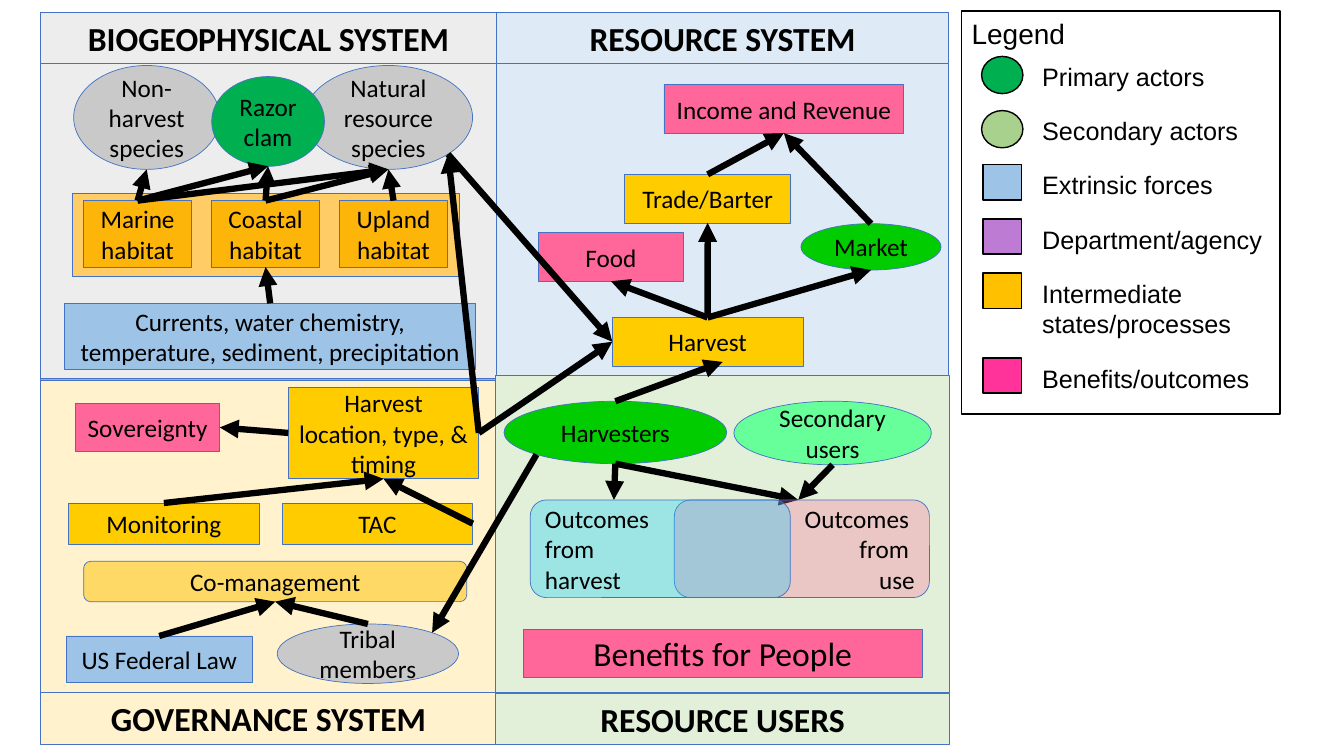
import pptx
import pptx.util
import pptx.dml.color
import pptx.enum.shapes
import pptx.enum.text
import pptx.oxml
import pptx.oxml.ns

Pt = pptx.util.Pt
KINDS = pptx.enum.shapes.MSO_SHAPE
ALIGN = pptx.enum.text.PP_ALIGN
ANCHOR = pptx.enum.text.MSO_ANCHOR
RECTANGLE, ELLIPSE, ROUNDED = KINDS.RECTANGLE, KINDS.OVAL, KINDS.ROUNDED_RECTANGLE

COLORS = {
    "black": "000000", "white": "FFFFFF", "outline": "4472C4", "backdrop": "536DB9",
    "gray panel": "EDEDED", "blue panel": "DEEBF7", "yellow panel": "FFF2CC",
    "green panel": "E2F0D9", "band": "FFCC66", "habitat": "FDB50A", "species": "C9C9C9",
    "primary": "00B050", "secondary": "A9D18E", "extrinsic": "9DC3E6", "agency": "BE7BD3",
    "intermediate": "FFC000", "outcome": "FF3399", "process": "FFCC00", "actor": "00CC00",
    "benefit": "FF6699", "shared": "FFD966", "users": "66FF99", "aqua": "00CCFF",
}
SIDES = {
    "top": (0.5, 0), "left": (0, 0.5), "bottom": (0.5, 1), "right": (1, 0.5),
    "lower left": (0.146, 0.854), "lower right": (0.854, 0.854), "upper right": (0.854, 0.146),
}
SITES = {"top": 0, "left": 1, "bottom": 2, "right": 3}


def color(name):
    return pptx.dml.color.RGBColor.from_string(COLORS[name])


def write(shape, text, size, font, align, bold=False):
    frame = shape.text_frame
    frame.word_wrap = True
    frame.text = text
    for paragraph in frame.paragraphs:
        paragraph.alignment = align
        for run in paragraph.runs:
            run.font.size = Pt(size)
            run.font.name = font
            run.font.bold = bold
            run.font.color.rgb = color("black")


def add_box(slide, origin, box, fill, text="", kind=RECTANGLE, size=18, bold=False,
            align=ALIGN.CENTER, font="Calibri", line="outline", weight=0.5, alpha=None):
    left, top, width, height = box
    shape = slide.shapes.add_shape(kind, Pt(origin[0] + left), Pt(origin[1] + top),
                                   Pt(width), Pt(height))
    shape.shadow.inherit = False
    shape.fill.solid()
    shape.fill.fore_color.rgb = color(fill)
    shape.line.color.rgb = color(line)
    shape.line.width = Pt(weight)
    if alpha:
        tint = shape.fill._xPr.find(".//" + pptx.oxml.ns.qn("a:srgbClr"))
        tint.append(pptx.oxml.parse_xml(
            f'<a:alpha {pptx.oxml.ns.nsdecls("a")} val="{alpha * 1000}"/>'))
    if text:
        shape.text_frame.vertical_anchor = ANCHOR.MIDDLE
        write(shape, text, size, font, align, bold)
    return shape


def locate(end):
    shape, side = end
    if side not in SIDES:
        return Pt(shape), Pt(side)
    across, down = SIDES[side]
    return int(shape.left + across * shape.width), int(shape.top + down * shape.height)


def is_joinable(end):
    return end[1] in SITES and end[0].auto_shape_type != ELLIPSE


def add_arrow(slide, start, end):
    connector = slide.shapes.add_connector(pptx.enum.shapes.MSO_CONNECTOR.STRAIGHT,
                                           *locate(start), *locate(end))
    if is_joinable(start):
        connector.begin_connect(start[0], SITES[start[1]])
    if is_joinable(end):
        connector.end_connect(end[0], SITES[end[1]])
    connector.line.color.rgb = color("black")
    connector.line.width = Pt(4.5)
    namespace = pptx.oxml.ns.nsdecls("a")
    connector.line._get_or_add_ln().append(
        pptx.oxml.parse_xml(f'<a:tailEnd {namespace} type="triangle"/>'))
    connector._element.spPr.append(pptx.oxml.parse_xml(f"<a:effectLst {namespace}/>"))


def add_panel(slide, box, fill, heading, panel_top, heading_top):
    left, top, width, height = box
    add_box(slide, (left, top), (0, panel_top, width, height - 37), fill)
    add_box(slide, (left, top), (0, heading_top, width, 37), fill, heading, size=24, bold=True)


def add_biogeophysical(slide, box):
    origin = box[:2]
    add_panel(slide, box, "gray panel", "BIOGEOPHYSICAL SYSTEM", 37, 0)
    add_box(slide, origin, (23, 129.6, 276.5, 59), "band")
    marine, coastal, upland = [
        add_box(slide, origin, (31 + 91.4 * column, 134.7, 77, 47.5), "habitat", f"{name} habitat")
        for column, name in enumerate(["Marine", "Coastal", "Upland"])]
    other = add_box(slide, origin, (23.8, 38.2, 104.4, 74.2), "species",
                    "Non-harvest species", ELLIPSE)
    natural = add_box(slide, origin, (188.6, 38.2, 120.2, 74.2), "species",
                      "Natural resource species", ELLIPSE)
    clam = add_box(slide, origin, (122.4, 46.1, 80.6, 64.1), "primary", "Razor clam", ELLIPSE)
    currents = add_box(slide, origin, (17.3, 208.1, 293.8, 47.5), "extrinsic",
                       "Currents, water chemistry, temperature, sediment, precipitation")
    for habitat, species in [(coastal, clam), (coastal, natural), (marine, clam),
                             (upland, natural), (marine, natural), (marine, other)]:
        add_arrow(slide, (habitat, "top"), (species, "bottom"))
    add_arrow(slide, (currents, "top"), (coastal, "bottom"))
    return natural


def add_resource(slide, box):
    origin = box[:2]
    add_panel(slide, box, "blue panel", "RESOURCE SYSTEM", 37, 0)
    harvest = add_box(slide, origin, (82.8, 218.2, 136.1, 34.6), "process", "Harvest")
    market = add_box(slide, origin, (217.5, 151.2, 100.1, 33.1), "actor", "Market", ELLIPSE)
    food = add_box(slide, origin, (30.3, 157.7, 103, 34.6), "benefit", "Food")
    income = add_box(slide, origin, (119.6, 51.9, 171.4, 34.6), "benefit", "Income and Revenue")
    trade = add_box(slide, origin, (91.5, 116, 118.8, 34.6), "process", "Trade/Barter")
    for source, target in [(harvest, market), (harvest, trade), (harvest, food),
                           (market, income), (trade, income)]:
        add_arrow(slide, (source, "top"), (target, "bottom"))
    return harvest


def add_governance(slide, box):
    origin = box[:2]
    add_panel(slide, box, "yellow panel", "GOVERNANCE SYSTEM", 0, box[3] - 37)
    tribe = add_box(slide, origin, (169.2, 174.3, 129.6, 42.5), "species",
                    "Tribal members", ELLIPSE)
    management = add_box(slide, origin, (31, 129.6, 273.6, 28.8), "shared",
                         "Co-management", ROUNDED)
    law = add_box(slide, origin, (18.7, 182.9, 132.5, 33.1), "extrinsic", "US Federal Law")
    sovereignty = add_box(slide, origin, (25.2, 16.6, 103, 34.6), "benefit", "Sovereignty")
    location = add_box(slide, origin, (177.1, 5.1, 136.1, 65.5), "process",
                       "Harvest location, type, & timing")
    monitoring, catch = [
        add_box(slide, origin, (left, 87.9, 136.1, 29.5), "process", name)
        for left, name in [(20.2, "Monitoring"), (172.8, "TAC")]]
    add_arrow(slide, (law, "top"), (management, "bottom"))
    add_arrow(slide, (tribe, "top"), (management, "bottom"))
    add_arrow(slide, (monitoring, "top"), (location, "bottom"))
    add_arrow(slide, (catch, "right"), (location, "bottom"))
    add_arrow(slide, (location, "left"), (sovereignty, "right"))
    return location, tribe


def add_users(slide, box):
    origin = left, top = box[:2]
    add_panel(slide, box, "green panel", "RESOURCE USERS", 0, box[3] - 36.4)
    add_box(slide, origin, (19.5, 181.5, 285.1, 34.6), "benefit", "Benefits for People", size=24)
    harvesters = add_box(slide, origin, (5.8, 18.8, 159.1, 44.6), "actor", "Harvesters", ELLIPSE)
    secondary = add_box(slide, origin, (170, 18.8, 141.1, 45.4), "users",
                        "Secondary users", ELLIPSE)
    for source, tip in [(harvesters, 216), (secondary, 216), (harvesters, 84.3)]:
        add_arrow(slide, (source, "bottom"), (left + tip, top + 89.3))
    add_box(slide, origin, (127.5, 89.3, 182.2, 69.8), "benefit", "Outcomes \nfrom \nuse",
            ROUNDED, align=ALIGN.RIGHT, alpha=30)
    add_box(slide, origin, (24.5, 89.3, 185.8, 69.8), "aqua", "Outcomes\nfrom\nharvest",
            ROUNDED, align=ALIGN.LEFT, alpha=30)
    return harvesters


def add_legend(slide, box):
    origin = left, top = box[:2]
    frame = add_box(slide, origin, (0, 0, *box[2:]), "white", "Legend", size=20,
                    align=ALIGN.LEFT, font="Arial", line="black", weight=1)
    frame.text_frame.vertical_anchor = ANCHOR.TOP
    row = 32.4
    for label, fill, kind, lines in [
            ("Primary actors", "primary", ELLIPSE, 1),
            ("Secondary actors", "secondary", ELLIPSE, 1),
            ("Extrinsic forces", "extrinsic", RECTANGLE, 1),
            ("Department/agency", "agency", RECTANGLE, 1),
            ("Intermediate states/processes", "intermediate", RECTANGLE, 2),
            ("Benefits/outcomes", "outcome", RECTANGLE, 1)]:
        width, height = (29.5, 26.6) if kind == ELLIPSE else (27.4, 25.2)
        add_box(slide, origin, (29 - width / 2, row, width, height), fill, kind=kind,
                line="black", weight=1)
        caption = slide.shapes.add_textbox(Pt(left + 50.4), Pt(top + row),
                                           Pt(190.8), Pt(7.2 + 21.8 * lines))
        write(caption, label, 18, "Arial", ALIGN.LEFT)
        row += 38.7 + 21.8 * (lines - 1)


def main():
    presentation = pptx.Presentation()
    presentation.slide_width, presentation.slide_height = Pt(960), Pt(540)
    slide = presentation.slides.add_slide(presentation.slide_layouts[6])
    add_box(slide, (0, 0), (28.8, 44.6, 648, 450), "backdrop", alpha=64)
    natural = add_biogeophysical(slide, (28.8, 8.6, 326, 261.4))
    harvest = add_resource(slide, (354.6, 8.6, 323, 261))
    location, tribe = add_governance(slide, (28.8, 271.4, 326, 260))
    harvesters = add_users(slide, (354.2, 267.8, 324, 263.6))
    add_arrow(slide, (natural, "lower right"), (harvest, "left"))
    add_arrow(slide, (harvesters, "top"), (516.2, 258.5))
    add_arrow(slide, (location, "right"), (natural, "lower right"))
    add_arrow(slide, (location, "right"), (harvest, "left"))
    add_arrow(slide, (harvesters, "lower left"), (tribe, "upper right"))
    add_legend(slide, (686.9, 7.9, 227.5, 288))
    presentation.save("out.pptx")


if __name__ == "__main__":
    main()
